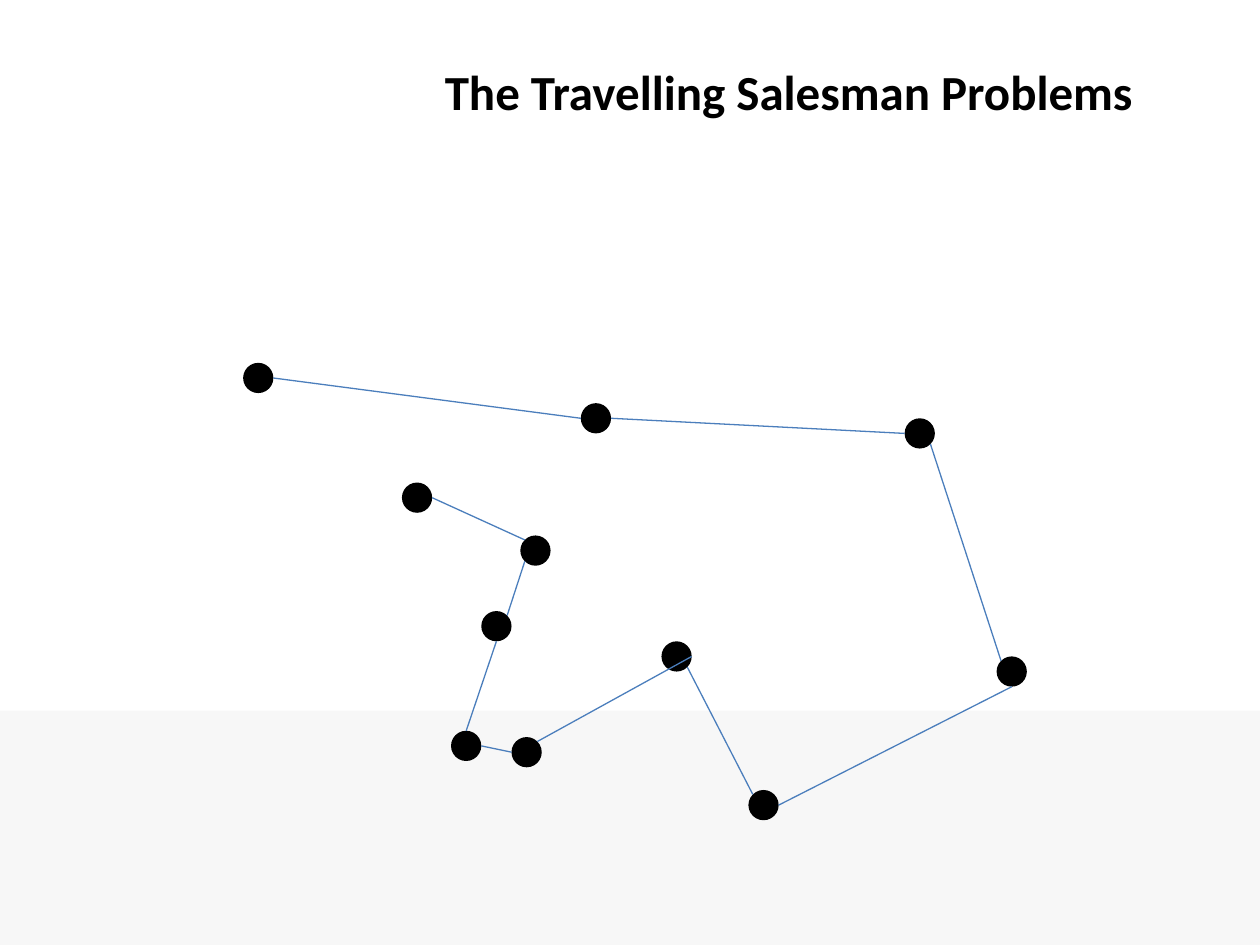
from dataclasses import dataclass
from math import cos, radians, sin

from lxml.etree import SubElement
from pptx import Presentation
from pptx.dml.color import RGBColor
from pptx.enum.shapes import MSO_CONNECTOR, MSO_SHAPE
from pptx.enum.text import MSO_ANCHOR, MSO_AUTO_SIZE, PP_ALIGN
from pptx.oxml.ns import qn
from pptx.util import Inches, Pt


@dataclass(frozen=True)
class Theme:
    band: RGBColor = RGBColor(0xF7, 0xF7, 0xF7)
    ink: RGBColor = RGBColor(0, 0, 0)
    route: RGBColor = RGBColor(0x4B, 0x7E, 0xBC)
    font: str = "Calibri"
    title_size: Pt = Pt(28)
    route_width: Pt = Pt(0.75)


THEME = Theme()
CITY_SIZE = 0.24

CITIES = {
    "A": (1.93, 2.88),
    "B": (4.61, 3.2),
    "C": (7.18, 3.32),
    "D": (3.19, 3.83),
    "E": (4.13, 4.25),
    "F": (3.82, 4.85),
    "G": (5.25, 5.09),
    "H": (3.58, 5.8),
    "I": (4.06, 5.85),
    "J": (5.94, 6.27),
    "K": (7.91, 5.21),
}

ANGLES = {
    "right": 0,
    "bottom right": 45,
    "bottom": 90,
    "bottom left": 135,
    "left": 180,
    "top left": 225,
    "top": 270,
    "top right": 315,
}

ROUTE = [
    ("A", "right", "B", "left"),
    ("B", "right", "C", "left"),
    ("C", "bottom right", "K", "top left"),
    ("J", "right", "K", "bottom"),
    ("J", "top left", "G", "bottom right"),
    ("G", "right", "I", "top right"),
    ("I", "left", "H", "right"),
    ("F", "bottom", "H", "top"),
    ("E", "bottom left", "F", "top right"),
    ("D", "right", "E", "top left"),
]


def apply_format(target, values):
    for name, value in values.items():
        setattr(target, name, value)


def place(shape, left, top, width, height):
    apply_format(shape, {
        "left": Inches(left), "top": Inches(top),
        "width": Inches(width), "height": Inches(height),
    })


def set_title(page, text):
    title = page.shapes.title
    place(title, 3.43, 0.44, 5.72, 0.57)
    frame = title.text_frame
    apply_format(frame, {
        "word_wrap": False,
        "auto_size": MSO_AUTO_SIZE.SHAPE_TO_FIT_TEXT,
        "vertical_anchor": MSO_ANCHOR.TOP,
    })
    para = frame.paragraphs[0]
    para.alignment = PP_ALIGN.LEFT
    span = para.add_run()
    span.text = text
    apply_format(span.font, {"name": THEME.font, "size": THEME.title_size, "bold": True})
    span.font.color.rgb = THEME.ink


def add_filled(page, kind, bounds, colour):
    shape = page.shapes.add_shape(kind, *map(Inches, bounds))
    shape.shadow.inherit = False
    shape.fill.solid()
    shape.fill.fore_color.rgb = colour
    shape.line.fill.background()


def rim_point(city, side):
    left, top = CITIES[city]
    radius = CITY_SIZE / 2
    angle = radians(ANGLES[side])
    return (Inches(left + radius + radius * cos(angle)),
            Inches(top + radius + radius * sin(angle)))


def add_leg(page, start, start_side, end, end_side):
    leg = page.shapes.add_connector(
        MSO_CONNECTOR.STRAIGHT, *rim_point(start, start_side), *rim_point(end, end_side))
    leg.line.color.rgb = THEME.route
    leg.line.width = THEME.route_width
    SubElement(leg._element.spPr, qn("a:effectLst"))


def main():
    deck = Presentation()
    deck.slide_width, deck.slide_height = Inches(10), Inches(7.5)
    page = deck.slides.add_slide(deck.slide_layouts[5])
    add_filled(page, MSO_SHAPE.RECTANGLE, (0, 5.64, 10, 1.86), THEME.band)
    set_title(page, "The Travelling Salesman Problems")
    for left, top in CITIES.values():
        add_filled(page, MSO_SHAPE.OVAL, (left, top, CITY_SIZE, CITY_SIZE), THEME.ink)
    for leg in ROUTE:
        add_leg(page, *leg)
    deck.save("out.pptx")


if __name__ == "__main__":
    main()
